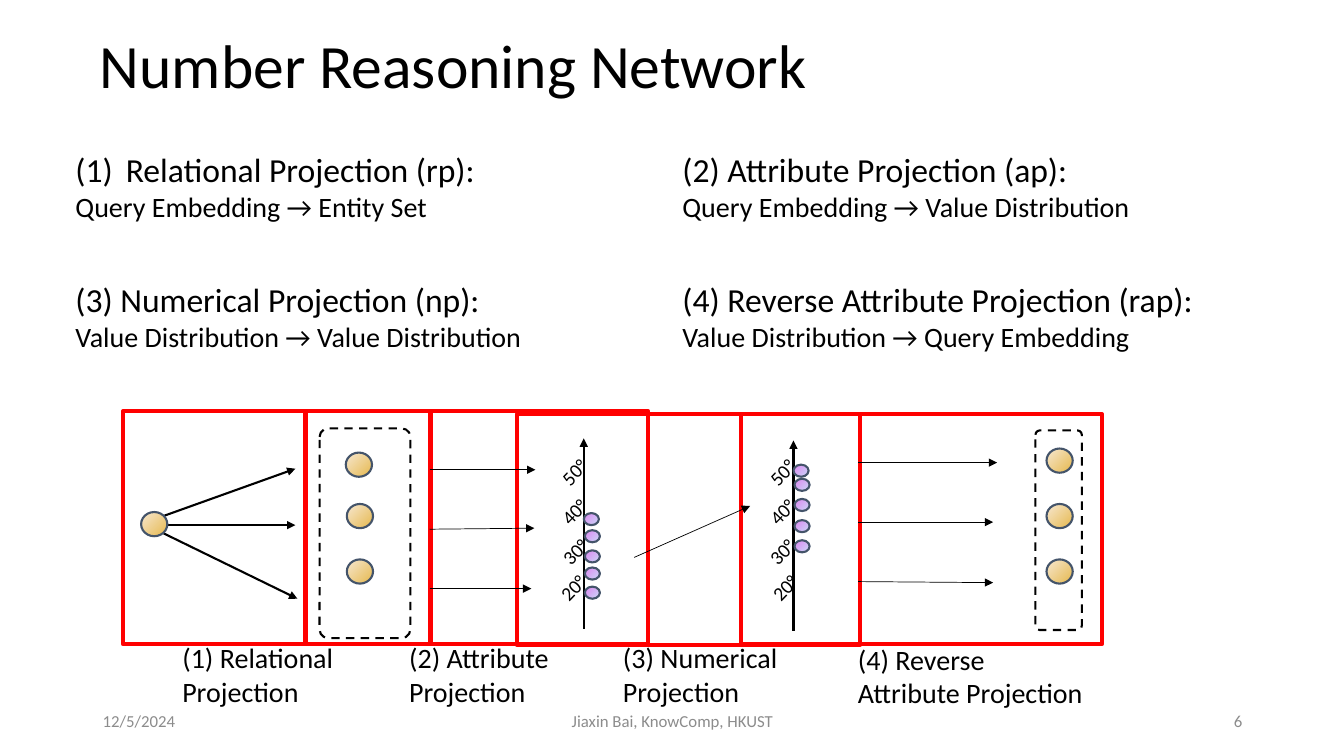
from dataclasses import dataclass

from lxml.etree import SubElement
from pptx import Presentation
from pptx.dml.color import RGBColor
from pptx.enum.dml import MSO_LINE
from pptx.enum.shapes import MSO_CONNECTOR, MSO_SHAPE
from pptx.enum.text import MSO_ANCHOR, MSO_AUTO_SIZE, PP_ALIGN
from pptx.oxml.ns import qn
from pptx.util import Inches, Pt

COLOURS = {
    "text": "000000", "footer": "8C8C8C", "frame": "FF0000", "outline": "44546A",
    "entity_light": "F7E9D4", "entity_dark": "E6B94E",
    "value_light": "C9DAF8", "value_dark": "DE87F1",
}
FONT = "Calibri"


@dataclass
class TextBlock:
    left: float
    top: float
    width: float
    height: float
    lines: tuple[str, ...]
    sizes: tuple[int, ...]
    numbered: bool = False
    rotation: float = 0
    colour: str = "text"
    align: PP_ALIGN = PP_ALIGN.LEFT
    anchor: MSO_ANCHOR = MSO_ANCHOR.TOP


@dataclass
class Frame:
    left: float
    top: float
    width: float
    height: float
    dashed: bool = False


@dataclass
class Dot:
    left: float
    top: float
    kind: str


@dataclass
class DotStyle:
    width: float
    height: float
    angle: int


@dataclass
class Arrow:
    start: tuple[float, float]
    end: tuple[float, float]
    weight: float = 0.5


@dataclass
class ValueAxis:
    x: float
    top: float
    label_lefts: tuple[float, ...]
    label_widths: tuple[float, ...]
    dots: tuple[tuple[float, float], ...]


DOT_STYLES = {"entity": DotStyle(0.26, 0.24, 315), "value": DotStyle(0.15, 0.12, 135)}

PROJECTIONS = [
    TextBlock(0.65, 1.43, 5.63, 0.84,
              ("Relational Projection (rp):", "Query Embedding → Entity Set"), (24, 20), numbered=True),
    TextBlock(6.67, 1.43, 6.83, 0.84,
              ("(2) Attribute Projection (ap):", "Query Embedding → Value Distribution"), (24, 20)),
    TextBlock(0.65, 2.72, 5.63, 1.25,
              ("(3) Numerical Projection (np):", "Value Distribution → Value Distribution"), (24, 20)),
    TextBlock(6.67, 2.72, 5.96, 1.25,
              ("(4) Reverse Attribute Projection (rap):", "Value Distribution → Query Embedding"), (24, 20)),
]
CAPTIONS = [
    TextBlock(1.71, 6.31, 2.16, 0.77, ("(1) Relational", "Projection"), (20, 20)),
    TextBlock(3.96, 6.31, 2.34, 0.77, ("(2) Attribute", "Projection"), (20, 20)),
    TextBlock(6.08, 6.31, 2.52, 0.77, ("(3) Numerical", "Projection"), (20, 20)),
    TextBlock(8.41, 6.32, 3.52, 0.77, ("(4) Reverse", "Attribute Projection"), (20, 20)),
]
FOOTERS = [
    TextBlock(left, 6.95, width, 0.4, (text,), (12,), colour="footer", align=align, anchor=MSO_ANCHOR.MIDDLE)
    for left, width, text, align in (
        (0.92, 3, "12/5/2024", PP_ALIGN.LEFT),
        (4.42, 4.5, "Jiaxin Bai, KnowComp, HKUST", PP_ALIGN.CENTER),
        (9.42, 3, "6", PP_ALIGN.RIGHT),
    )
]
FRAMES = [
    Frame(1.22, 4.08, 3.05, 2.31), Frame(3.03, 4.08, 3.4, 2.31),
    Frame(5.13, 4.11, 3.4, 2.29), Frame(7.35, 4.11, 3.58, 2.28),
    Frame(10.27, 4.27, 0.46, 1.98, dashed=True), Frame(3.17, 4.25, 0.9, 2.08, dashed=True),
]
ARROWS = [
    # Relational projection
    Arrow((1.62, 5.29), (2.95, 5.94), 1.5),
    Arrow((1.66, 5.21), (2.93, 5.21), 1.5),
    Arrow((1.62, 5.12), (2.93, 4.65), 1.5),
    # Attribute projection
    Arrow((4.26, 4.66), (5.31, 4.66)),
    Arrow((4.26, 5.25), (5.3, 5.24)),
    Arrow((4.26, 5.84), (5.27, 5.84)),
    # Numerical projection
    Arrow((6.29, 5.53), (7.44, 5.02)),
    # Reverse attribute projection
    Arrow((8.51, 4.59), (9.89, 4.59)),
    Arrow((8.51, 5.18), (9.85, 5.18)),
    Arrow((8.51, 5.77), (9.85, 5.78)),
]
ENTITIES = [Dot(1.4, 5.08, "entity"), Dot(3.43, 4.49, "entity"), Dot(10.38, 4.45, "entity")]
ENTITIES += [Dot(left, top, "entity") for left in (3.44, 10.38) for top in (5, 5.55)]

AXIS_HEIGHT = 1.89
LABEL_OFFSETS = {"50°": 0.13, "40°": 0.52, "30°": 0.92, "20°": 1.26}
AXES = [
    ValueAxis(5.79, 4.35, (5.45, 5.45, 5.46, 5.43), (0.56, 0.56, 0.55, 0.61),
              ((5.79, 5.09), (5.8, 5.26), (5.8, 5.46), (5.8, 5.63), (5.8, 5.82))),
    ValueAxis(7.87, 4.37, (7.52, 7.52, 7.52, 7.54), (0.51, 0.51, 0.5, 0.56),
              ((7.87, 4.61), (7.88, 4.75), (7.88, 4.95), (7.88, 5.16), (7.88, 5.36))),
]


def rgb(name: str) -> RGBColor:
    return RGBColor.from_string(COLOURS[name])


def add_run(paragraph, text: str, size: int, colour: str) -> None:
    run = paragraph.add_run()
    run.text = text
    run.font.name = FONT
    run.font.size = Pt(size)
    run.font.color.rgb = rgb(colour)


def number_paragraph(paragraph) -> None:
    properties = paragraph._p.get_or_add_pPr()
    properties.set("marL", str(Inches(0.5)))
    properties.set("indent", str(Inches(-0.5)))
    SubElement(properties, qn("a:buFont"), typeface="+mj-lt")
    SubElement(properties, qn("a:buAutoNum"), type="arabicParenBoth")


def add_text(slide, block: TextBlock) -> None:
    shape = slide.shapes.add_textbox(*map(Inches, (block.left, block.top, block.width, block.height)))
    shape.rotation = block.rotation
    frame = shape.text_frame
    frame.word_wrap = True
    frame.vertical_anchor = block.anchor
    for index, (line, size) in enumerate(zip(block.lines, block.sizes)):
        paragraph = frame.add_paragraph() if index else frame.paragraphs[0]
        paragraph.alignment = block.align
        if block.numbered and index == 0:
            number_paragraph(paragraph)
        add_run(paragraph, line, size, block.colour)


def add_frame(slide, frame: Frame) -> None:
    kind = MSO_SHAPE.ROUNDED_RECTANGLE if frame.dashed else MSO_SHAPE.RECTANGLE
    shape = slide.shapes.add_shape(kind, *map(Inches, (frame.left, frame.top, frame.width, frame.height)))
    shape.shadow.inherit = False
    shape.fill.background()
    shape.line.color.rgb = rgb("text" if frame.dashed else "frame")
    shape.line.width = Pt(1.5 if frame.dashed else 3)
    if frame.dashed:
        shape.adjustments[0] = 0.094
        shape.line.dash_style = MSO_LINE.DASH


def add_dot(slide, dot: Dot) -> None:
    style = DOT_STYLES[dot.kind]
    shape = slide.shapes.add_shape(MSO_SHAPE.OVAL, *map(Inches, (dot.left, dot.top, style.width, style.height)))
    shape.shadow.inherit = False
    shape.fill.gradient()
    shape.fill.gradient_angle = style.angle
    for stop, shade, position in zip(shape.fill.gradient_stops, ("light", "dark"), (0, 1)):
        stop.color.rgb = rgb(f"{dot.kind}_{shade}")
        stop.position = position
    shape.line.color.rgb = rgb("outline")
    shape.line.width = Pt(1.5)


def add_arrow(slide, arrow: Arrow) -> None:
    connector = slide.shapes.add_connector(MSO_CONNECTOR.STRAIGHT, *map(Inches, arrow.start + arrow.end))
    connector.line.color.rgb = rgb("text")
    connector.line.width = Pt(arrow.weight)
    properties = connector._element.spPr
    SubElement(properties.find(qn("a:ln")), qn("a:tailEnd"), type="triangle")
    SubElement(properties, qn("a:effectLst"))


def add_axis(slide, axis: ValueAxis) -> None:
    for (label, offset), left, width in zip(LABEL_OFFSETS.items(), axis.label_lefts, axis.label_widths):
        add_text(slide, TextBlock(left, axis.top + offset, width, 0.34, (label,), (14,), rotation=314))
    add_arrow(slide, Arrow((axis.x, axis.top + AXIS_HEIGHT), (axis.x, axis.top), 1.5))
    for left, top in axis.dots:
        add_dot(slide, Dot(left, top, "value"))


def add_title(slide, text: str) -> None:
    title = slide.shapes.title
    title.left, title.top, title.width, title.height = map(Inches, (0.89, 0.02, 11.5, 1.32))
    title.text_frame.auto_size = MSO_AUTO_SIZE.NONE
    title.text_frame.vertical_anchor = MSO_ANCHOR.MIDDLE
    paragraph = title.text_frame.paragraphs[0]
    paragraph.alignment = PP_ALIGN.LEFT
    paragraph.line_spacing = 0.9
    add_run(paragraph, text, 44, "text")


def main() -> None:
    presentation = Presentation()
    presentation.slide_width, presentation.slide_height = Inches(13.33), Inches(7.5)
    slide = presentation.slides.add_slide(presentation.slide_layouts[5])
    add_title(slide, "Number Reasoning Network")
    parts = ((add_text, FOOTERS + PROJECTIONS), (add_frame, FRAMES), (add_arrow, ARROWS),
             (add_axis, AXES), (add_dot, ENTITIES), (add_text, CAPTIONS))
    for draw, items in parts:
        for item in items:
            draw(slide, item)
    presentation.save("out.pptx")


if __name__ == "__main__":
    main()
